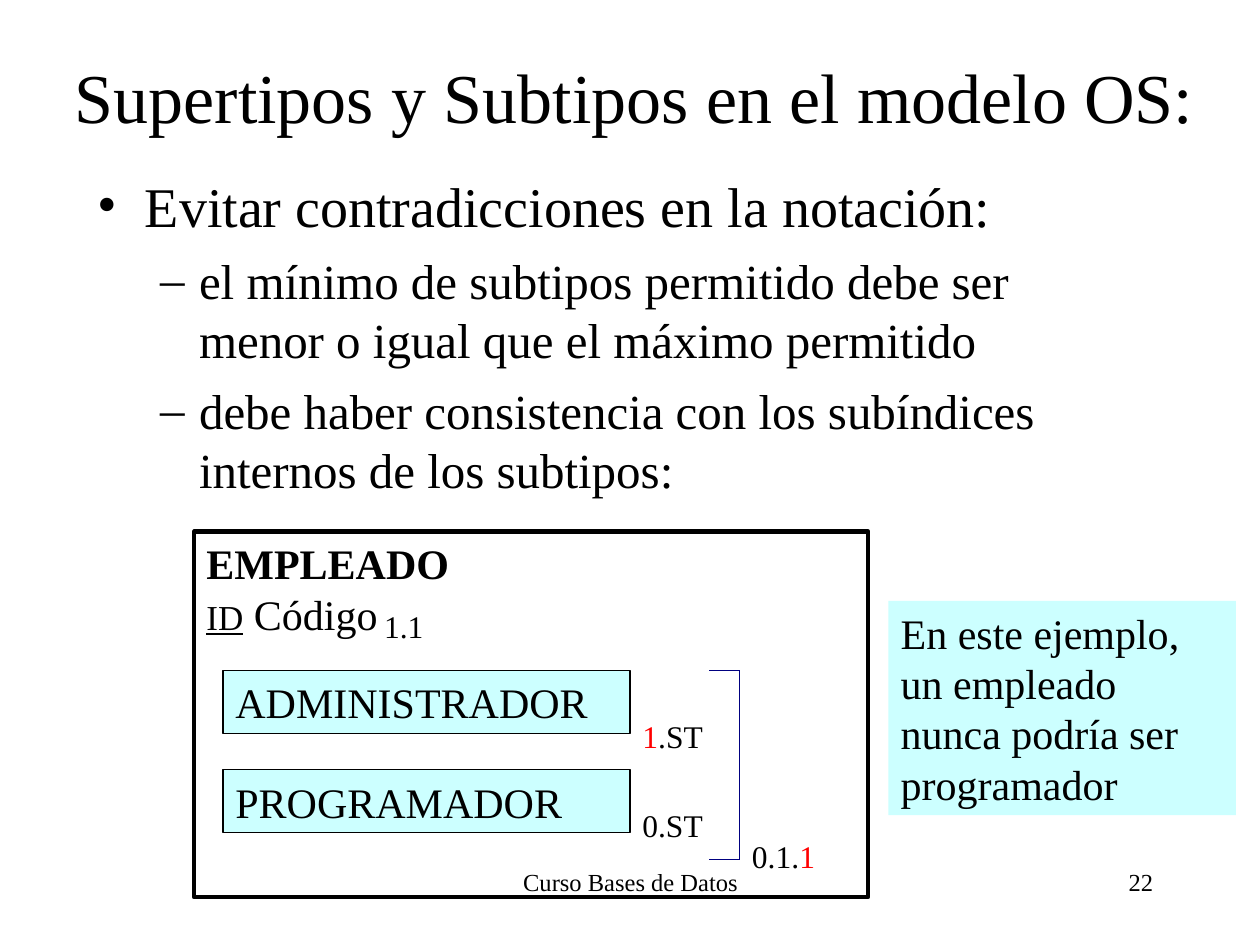
from lxml import etree
from pptx import Presentation
from pptx.dml.color import RGBColor
from pptx.enum.shapes import MSO_CONNECTOR, MSO_SHAPE
from pptx.enum.text import MSO_ANCHOR, MSO_AUTO_SIZE, PP_ALIGN
from pptx.oxml.ns import qn
from pptx.util import Pt

PX = 9144  # EMU per px, 100 px to the inch
FONT = "Times New Roman"
COLORS = {"text": "000000", "accent": "FF0000", "box": "CCFFFF", "bracket": "000080"}
LEFT, CENTER, RIGHT = PP_ALIGN.LEFT, PP_ALIGN.CENTER, PP_ALIGN.RIGHT
TOP, MIDDLE = MSO_ANCHOR.TOP, MSO_ANCHOR.MIDDLE
RECTANGLE = MSO_SHAPE.RECTANGLE
STRAIGHT = MSO_CONNECTOR.STRAIGHT


def px(*lengths):
    return [length * PX for length in lengths]


def color(name):
    return RGBColor.from_string(COLORS[name])


def add_run(paragraph, text, size, name="text", bold=False, underline=False):
    run = paragraph.add_run()
    run.text = text
    font = run.font
    font.name, font.size = FONT, Pt(size)
    font.bold, font.underline = bold, underline
    font.color.rgb = color(name)


def write(frame, lines, align=LEFT, anchor=TOP, wrap=True):
    """Each line is a list of runs; each run is the arguments of add_run."""
    frame.word_wrap = wrap
    frame.auto_size = MSO_AUTO_SIZE.NONE
    frame.vertical_anchor = anchor
    for index, runs in enumerate(lines):
        paragraph = frame.paragraphs[0] if index == 0 else frame.add_paragraph()
        paragraph.alignment = align
        for run in runs:
            add_run(paragraph, *run)


def place(shape, *box):
    shape.left, shape.top, shape.width, shape.height = px(*box)


def add_label(slide, box, runs, align=LEFT, wrap=False):
    shape = slide.shapes.add_textbox(*px(*box))
    write(shape.text_frame, [runs], align, wrap=wrap)


def add_box(slide, box, lines, fill=None, line_width=None):
    shape = slide.shapes.add_shape(RECTANGLE, *px(*box))
    shape.shadow.inherit = False
    if fill:
        shape.fill.solid()
        shape.fill.fore_color.rgb = color(fill)
    else:
        shape.fill.background()
    if line_width:
        shape.line.color.rgb = color("text")
        shape.line.width = Pt(line_width)
    else:
        shape.line.fill.background()
    write(shape.text_frame, lines)


def add_line(slide, *ends):
    line = slide.shapes.add_connector(STRAIGHT, *px(*ends))
    line.line.color.rgb = color("bracket")
    line.line.width = Pt(0.75)
    etree.SubElement(line._element.spPr, qn("a:effectLst"))


def set_bullet(paragraph, character, margin, indent):
    properties = paragraph._p.get_or_add_pPr()
    properties.set("marL", str(margin * PX))
    properties.set("indent", str(indent * PX))
    bullet_color = etree.SubElement(properties, qn("a:buClr"))
    etree.SubElement(bullet_color, qn("a:srgbClr"), val=COLORS["text"])
    etree.SubElement(properties, qn("a:buFont"), typeface=FONT)
    etree.SubElement(properties, qn("a:buChar"), char=character)


def fill_body(body):
    place(body, 67, 131, 850, 339)
    write(body.text_frame, [
        [("Evitar contradicciones en la notación:", 32)],
        [("el mínimo de subtipos permitido debe ser menor o igual que el máximo permitido", 28)],
        [("debe haber consistencia con los subíndices internos de los subtipos:", 28)],
    ])
    for index, paragraph in enumerate(body.text_frame.paragraphs):
        paragraph.level = min(index, 1)
        paragraph.space_before = Pt(7 if index else 0)
        set_bullet(paragraph, *(("–", 81, -31) if index else ("•", 38, -38)))


def main():
    presentation = Presentation()
    presentation.slide_width, presentation.slide_height = px(1000, 750)
    slide = presentation.slides.add_slide(presentation.slide_layouts[1])

    # Title and list
    title, body = slide.placeholders
    place(title, 35, 13, 937, 125)
    write(title.text_frame, [[("Supertipos y Subtipos en el modelo OS:", 40)]], CENTER, MIDDLE)
    fill_body(body)

    # Footer and page number
    add_label(slide, (342, 683, 317, 50), [("Curso Bases de Datos", 14)], CENTER, True)
    add_label(slide, (717, 683, 208, 50), [("22", 14)], RIGHT, True)

    # Supertype with its identifier
    add_box(slide, (154, 422, 535, 290), [
        [("EMPLEADO", 24, "text", True)],
        [("ID", 20, "text", False, True), (" Código", 24)],
    ], line_width=2.5)
    add_label(slide, (295, 477, 51, 40), [("1.1", 18)])

    # Subtypes and their subscripts
    for name, top in (("ADMINISTRADOR", 532), ("PROGRAMADOR", 611)):
        add_box(slide, (177, top, 323, 50), [[(name, 24)]], "box", 0.75)
    add_label(slide, (500, 564, 68, 40), [("1", 18, "accent"), (".ST", 18)])
    add_label(slide, (500, 635, 68, 40), [("0.ST", 18)])

    # Bracket around the subtypes
    add_line(slide, 587, 532, 587, 682)
    for y in (532, 682):
        add_line(slide, 563, y, 587, y)
    add_label(slide, (587, 659, 70, 40), [("0.1.", 18), ("1", 18, "accent")])

    # Remark
    add_box(slide, (705, 477, 276, 170),
            [[("En este ejemplo, un empleado nunca podría ser programador", 24)]], "box")

    presentation.save("out.pptx")


if __name__ == "__main__":
    main()
